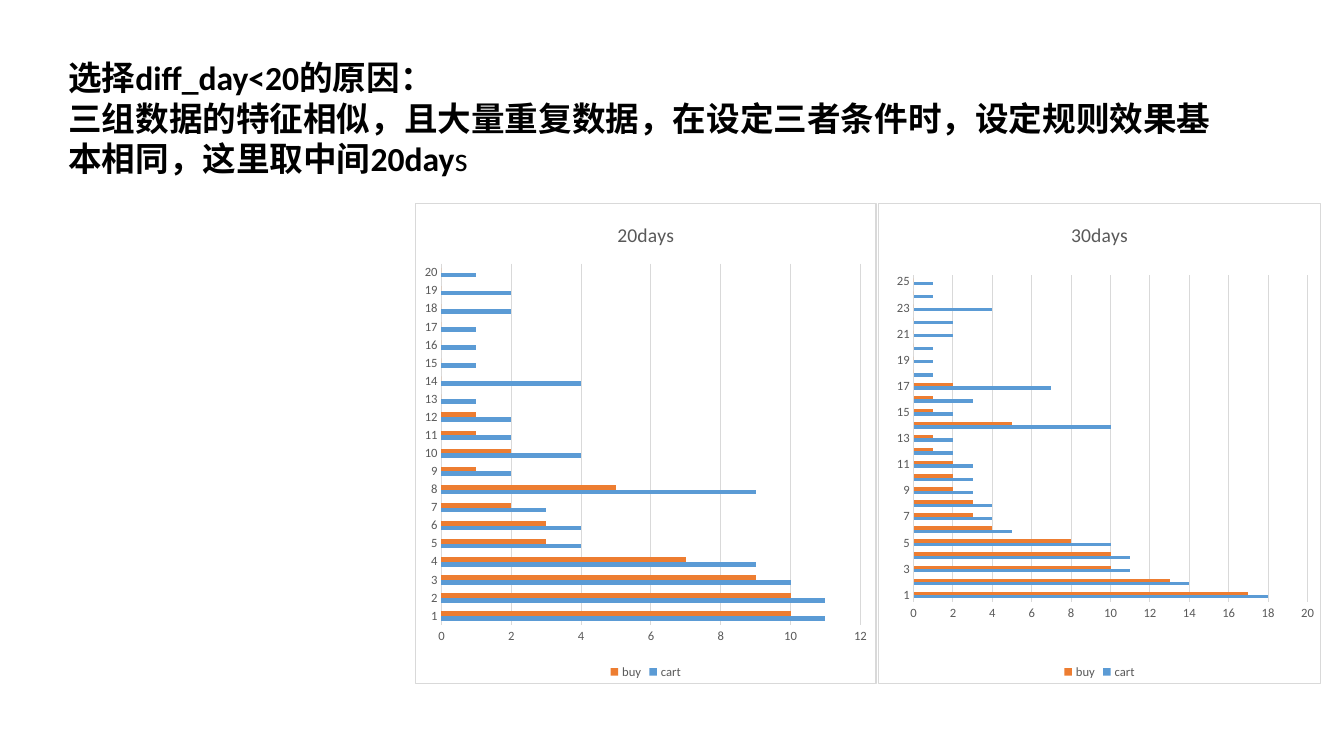
import pptx
import pptx.chart.data
import pptx.dml.color
import pptx.enum.chart
import pptx.enum.text
import pptx.oxml
import pptx.oxml.ns
import pptx.util
from pptx.util import Cm, Pt

COLORS = {"text": "000000", "label": "595959", "line": "D9D9D9",
          "cart": "5B9BD5", "buy": "ED7D31"}
FONT = "Calibri"


def rgb(name):
    return pptx.dml.color.RGBColor.from_string(COLORS[name])


def style_font(font, size, color, bold=False):
    font.name = FONT
    font.size = Pt(size)
    font.bold = bold
    font.color.rgb = rgb(color)


deck = pptx.Presentation()
deck.slide_width, deck.slide_height = Cm(33.87), Cm(19.05)
slide = deck.slides.add_slide(deck.slide_layouts[6])

# Explanation: paragraphs of (text, bold) runs
explanation = [
    [("选择diff_day<20的原因：", True)],
    [("三组数据的特征相似，且大量重复数据，在设定三者条件时，"
      "设定规则效果基本相同，这里取中间20day", True), ("s", False)],
]
reason = slide.shapes.add_textbox(Cm(1.47), Cm(1.32), Cm(30.05), Cm(3.33)).text_frame
reason.word_wrap = True
reason.auto_size = pptx.enum.text.MSO_AUTO_SIZE.SHAPE_TO_FIT_TEXT
for index, runs in enumerate(explanation):
    paragraph = reason.add_paragraph() if index else reason.paragraphs[0]
    for text, bold in runs:
        run = paragraph.add_run()
        run.text = text
        style_font(run.font, 24, "text", bold)

# Windows: title, left, width, inner plot area (x, y, w, h), counts per day
windows = [
    ("20days", 10.46, 11.63, None, {
        "cart": [11, 11, 10, 9, 4, 4, 3, 9, 2, 4, 2, 2, 1, 4, 1, 1, 1, 2, 2, 1],
        "buy": [10, 10, 9, 7, 3, 3, 2, 5, 1, 2, 1, 1] + [0] * 8}),
    ("30days", 22.12, 11.18, (0.08, 0.15, 0.89, 0.68), {
        "cart": [18, 14, 11, 11, 10, 5, 4, 4, 3, 3, 3, 2, 2, 10, 2, 3, 7,
                 1, 1, 1, 2, 2, 4, 1, 1],
        "buy": [17, 13, 10, 10, 8, 4, 3, 3, 2, 2, 2, 1, 1, 5, 1, 1, 2] + [0] * 8}),
]
NS = pptx.oxml.ns.nsdecls("c", "a")

for title, left, width, plot_area, counts in windows:
    data = pptx.chart.data.CategoryChartData()
    data.categories = [str(day + 1) for day in range(len(counts["cart"]))]
    for action, values in counts.items():
        data.add_series(action, values)
    chart = slide.shapes.add_chart(
        pptx.enum.chart.XL_CHART_TYPE.BAR_CLUSTERED,
        Cm(left), Cm(5.11), Cm(width), Cm(12.12), data).chart
    style_font(chart.font, 10, "text")

    # Title and legend
    chart.has_title = True
    heading = chart.chart_title.text_frame.paragraphs[0].add_run()
    heading.text = title
    style_font(heading.font, 14, "label")
    chart.chart_title.include_in_layout = False
    chart.has_legend = True
    chart.legend.position = pptx.enum.chart.XL_LEGEND_POSITION.BOTTOM
    chart.legend.include_in_layout = False
    style_font(chart.legend.font, 9, "label")

    # Bars
    bars = chart.plots[0]
    bars.gap_width = 182
    bars.vary_by_categories = False
    for series in bars.series:
        series.format.fill.solid()
        series.format.fill.fore_color.rgb = rgb(series.name)

    # Axes
    days, amounts = chart.category_axis, chart.value_axis
    for axis in (days, amounts):
        axis.major_tick_mark = axis.minor_tick_mark = pptx.enum.chart.XL_TICK_MARK.NONE
        style_font(axis.tick_labels.font, 9, "label")
    amounts.has_major_gridlines = True
    amounts.format.line.fill.background()
    for line in (days.format.line, amounts.major_gridlines.format.line):
        line.color.rgb = rgb("line")
        line.width = Pt(0.75)

    # White background with a thin border
    chart_part = chart.element.find(pptx.oxml.ns.qn("c:chart"))
    chart_part.addnext(pptx.oxml.parse_xml(
        f'<c:spPr {NS}><a:solidFill><a:srgbClr val="FFFFFF"/></a:solidFill>'
        f'<a:ln w="{Pt(0.75)}"><a:solidFill><a:srgbClr val="{COLORS["line"]}"/>'
        '</a:solidFill></a:ln></c:spPr>'))

    # Fixed plot area
    if plot_area:
        plot = chart_part.find(pptx.oxml.ns.qn("c:plotArea"))
        for layout in plot.findall(pptx.oxml.ns.qn("c:layout")):
            plot.remove(layout)
        edges = "".join(f'<c:{key} val="{value}"/>'
                        for key, value in zip("xywh", plot_area))
        plot.insert(0, pptx.oxml.parse_xml(
            f'<c:layout {NS}><c:manualLayout><c:layoutTarget val="inner"/>'
            '<c:xMode val="edge"/><c:yMode val="edge"/>'
            f'{edges}</c:manualLayout></c:layout>'))

deck.save("out.pptx")
